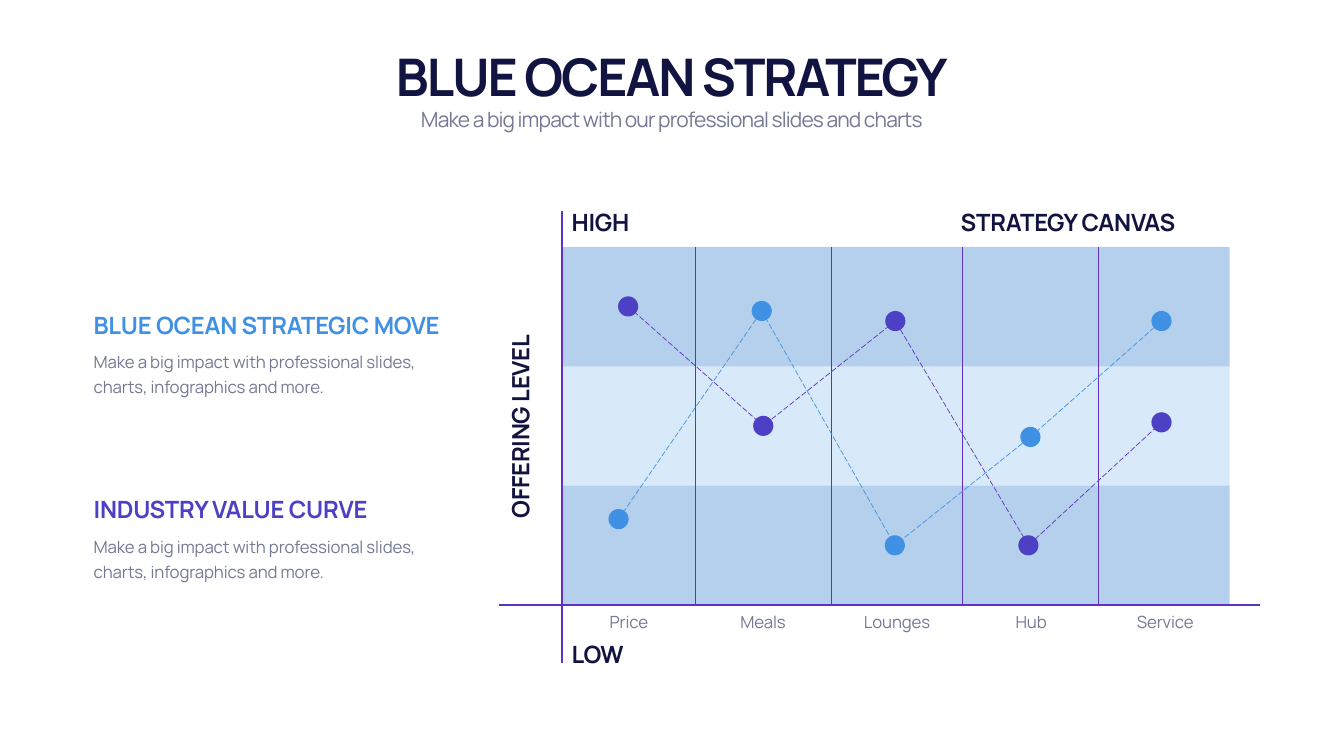
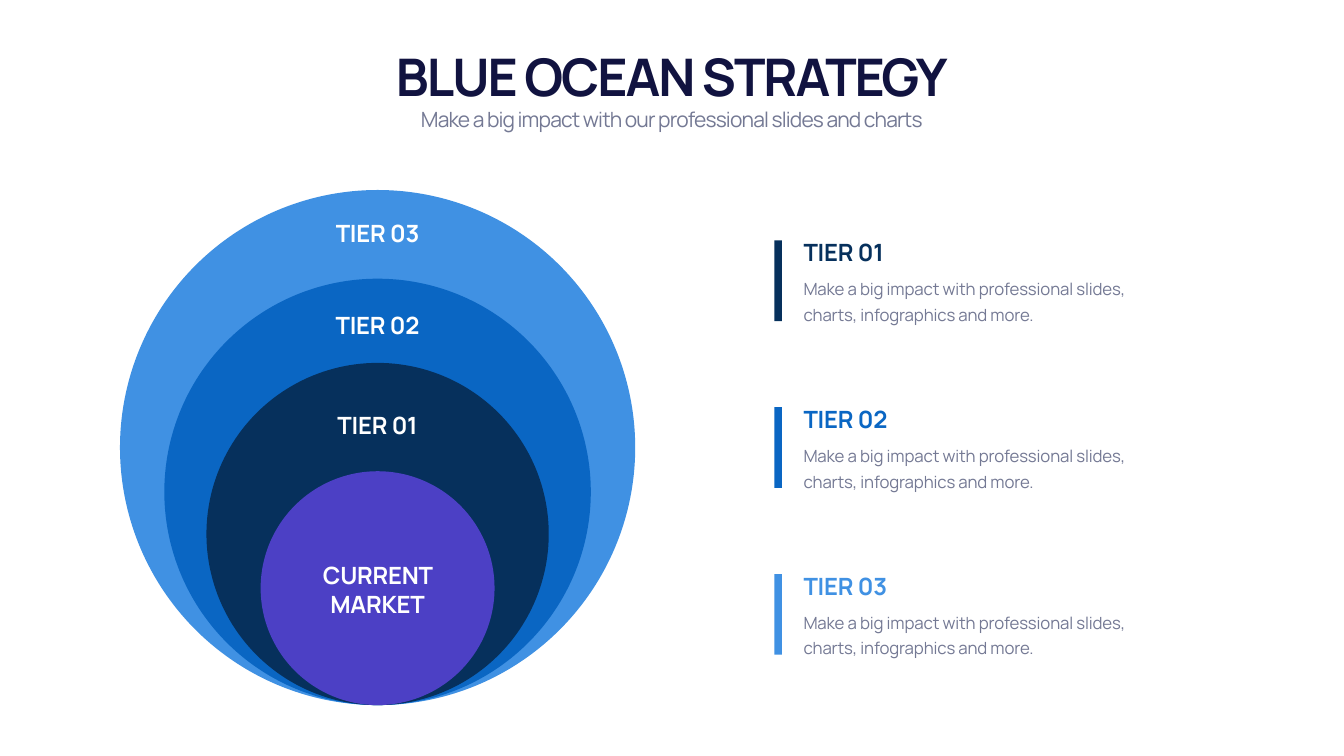
"""Builds two Blue Ocean Strategy slides: a strategy canvas and nested market tiers."""
from lxml import etree
from pptx import Presentation
from pptx.dml.color import RGBColor
from pptx.enum.dml import MSO_LINE
from pptx.enum.shapes import MSO_CONNECTOR, MSO_SHAPE
from pptx.enum.text import MSO_ANCHOR, MSO_AUTO_SIZE, PP_ALIGN
from pptx.oxml.ns import qn
from pptx.util import Inches, Pt

RECTANGLE, OVAL = MSO_SHAPE.RECTANGLE, MSO_SHAPE.OVAL
STRAIGHT, LONG_DASH = MSO_CONNECTOR.STRAIGHT, MSO_LINE.LONG_DASH
TOP, MIDDLE, BOTTOM = MSO_ANCHOR.TOP, MSO_ANCHOR.MIDDLE, MSO_ANCHOR.BOTTOM
LEFT, CENTER = PP_ALIGN.LEFT, PP_ALIGN.CENTER
GROW = MSO_AUTO_SIZE.SHAPE_TO_FIT_TEXT

NAVY = RGBColor(0x11, 0x13, 0x40)
GREY = RGBColor(0x74, 0x79, 0x94)
SKY = RGBColor(0x40, 0x91, 0xE3)
BLUE = RGBColor(0x0A, 0x66, 0xC3)
DEEP = RGBColor(0x06, 0x30, 0x5C)
INDIGO = RGBColor(0x4C, 0x40, 0xC5)
VIOLET = RGBColor(0x61, 0x30, 0xC5)
WHITE = RGBColor(0xFF, 0xFF, 0xFF)

FONT = "Manrope"
GRID = Inches(1)
COLUMNS, ROWS = 26.66, 15
TITLE_ONLY = 5
BLURB = "Make a big impact with professional slides, charts, infographics and more."

CANVAS_LEFT, CANVAS_TOP, CANVAS_WIDTH = 11.14, 4.9, 13.25
BAND_HEIGHT = 2.37
AXIS_Y = 12
DIVIDERS = (13.79, 16.5, 19.08, 21.79)
FACTORS = ("Price", "Meals", "Lounges", "Hub", "Service")
FACTOR_STEP = 2.66
DOT = 0.4
INDUSTRY = ((12.46, 6.08), (15.14, 8.45), (17.76, 6.37), (20.4, 10.82), (23.04, 8.38))
OCEAN = ((12.27, 10.3), (15.11, 6.17), (17.75, 10.82), (20.44, 8.67), (23.04, 6.37))

CIRCLE_CENTER, CIRCLE_BOTTOM = 7.49, 13.99
CIRCLES = (
    (10.22, SKY, "TIER 03", 4.29, 0.67),
    (8.46, BLUE, "TIER 02", 6.11, 0.67),
    (6.79, DEEP, "TIER 01", 8.1, 0.67),
    (4.64, INDIGO, "CURRENT MARKET", 11.07, 1.25),
)
CIRCLE_LABEL_WIDTH = 3.74
TIERS = (("TIER 01", DEEP), ("TIER 02", BLUE), ("TIER 03", SKY))
TIER_TOP, TIER_STEP = 4.67, 3.31


def cells(*counts):
    """Turn counts of grid cells into lengths."""
    return [round(count * GRID) for count in counts]


def write(box, text, size, color, bold=False, spacing=-0.3, align=LEFT, anchor=TOP, leading=None):
    """Fill a box with one formatted paragraph."""
    frame = box.text_frame
    frame.word_wrap = True
    frame.auto_size = GROW
    frame.vertical_anchor = anchor
    frame.margin_left = frame.margin_right = Inches(0.1)
    frame.margin_top = frame.margin_bottom = Inches(0.05)
    para = frame.paragraphs[0]
    para.alignment = align
    if leading:
        para.line_spacing = Pt(leading)
    span = para.add_run()
    span.text = text
    font = span.font
    font.name, font.size, font.bold = FONT, Pt(size), bold
    font.color.rgb = color
    span._r.get_or_add_rPr().set("spc", str(round(spacing * 100)))


def add_text(page, area, text, size, color, **style):
    """Add a text box over an area of the grid."""
    box = page.shapes.add_textbox(*cells(*area))
    write(box, text, size, color, **style)
    return box


def add_label(page, area, text, color=NAVY, align=CENTER, anchor=MIDDLE):
    """Add a bold label."""
    return add_text(page, area, text, 34, color, bold=True, align=align, anchor=anchor)


def add_body(page, area, text, align=LEFT):
    """Add small grey text."""
    add_text(page, area, text, 24, GREY, spacing=-0.2, align=align, leading=36)


def add_entry(page, left, top, width, heading, color):
    """Add a coloured heading above the blurb."""
    add_label(page, (left, top, width, 0.67), heading, color, LEFT, BOTTOM)
    add_body(page, (left, top + 0.72, width, 1.09), BLURB)


def add_block(page, kind, area, color, opacity=100):
    """Add a borderless filled shape."""
    shape = page.shapes.add_shape(kind, *cells(*area))
    shape.shadow.inherit = False
    shape.line.fill.background()
    shape.fill.solid()
    shape.fill.fore_color.rgb = color
    if opacity < 100:
        tint = shape.fill._xPr.find(".//" + qn("a:srgbClr"))
        etree.SubElement(tint, qn("a:alpha")).set("val", str(opacity * 1000))


def add_line(page, start, end, weight):
    """Add a straight violet line."""
    line = page.shapes.add_connector(STRAIGHT, *cells(*start, *end))
    line.line.color.rgb = VIOLET
    line.line.width = Pt(weight)
    etree.SubElement(line._element.spPr, qn("a:effectLst"))


def add_dots(page, points, color):
    """Mark each point with a dot."""
    for x, y in points:
        add_block(page, OVAL, (x - DOT / 2, y - DOT / 2, DOT, DOT), color)


def add_curve(page, points, color):
    """Join the points with a thin dashed line."""
    start, *others = [cells(*point) for point in points]
    builder = page.shapes.build_freeform(*start)
    builder.add_line_segments(others, close=False)
    curve = builder.convert_to_shape()
    curve.shadow.inherit = False
    curve.fill.background()
    curve.line.color.rgb = color
    curve.line.width = Pt(1)
    curve.line.dash_style = LONG_DASH


def add_page(deck):
    """Add a slide with the shared title and subtitle."""
    page = deck.slides.add_slide(deck.slide_layouts[TITLE_ONLY])
    title = page.shapes.title
    title.left, title.top, title.width, title.height = cells(1.66, 0.82, 23.33, 1.35)
    write(title, "BLUE OCEAN STRATEGY", 74, NAVY, bold=True, spacing=-2.9,
          align=CENTER, anchor=BOTTOM)
    add_text(page, (1.66, 2.07, 23.33, 0.61),
             "Make a big impact with our professional slides and charts",
             30, GREY, spacing=-1.2, align=CENTER)
    return page


def build_canvas(deck):
    """Build the strategy canvas slide."""
    page = add_page(deck)
    for row, (color, opacity) in enumerate(((BLUE, 30), (SKY, 20), (BLUE, 30))):
        top = CANVAS_TOP + row * BAND_HEIGHT
        add_block(page, RECTANGLE, (CANVAS_LEFT, top, CANVAS_WIDTH, BAND_HEIGHT), color, opacity)
    add_line(page, (CANVAS_LEFT, 4.18), (CANVAS_LEFT, 13.15), 3)
    add_line(page, (9.89, AXIS_Y), (25, AXIS_Y), 3)
    add_dots(page, INDUSTRY, INDIGO)
    add_dots(page, OCEAN, SKY)
    for x in DIVIDERS:
        add_line(page, (x, CANVAS_TOP), (x, AXIS_Y), 1)
    add_entry(page, 1.76, 6.11, 7.31, "BLUE OCEAN STRATEGIC MOVE", SKY)
    add_entry(page, 1.76, 9.77, 7.31, "INDUSTRY VALUE CURVE", INDIGO)
    add_label(page, (18.14, 4.07, 6.09, 0.67), "STRATEGY CANVAS")
    add_label(page, (7.26, 8.13, 6.1, 0.67), "OFFERING LEVEL").rotation = 270
    add_label(page, (11.24, 4.07, 1.9, 0.67), "HIGH", align=LEFT)
    add_label(page, (11.24, 12.65, 1.9, 0.67), "LOW", align=LEFT)
    for column, factor in enumerate(FACTORS):
        add_body(page, (11.26 + column * FACTOR_STEP, 11.99, 2.43, 0.58), factor, CENTER)
    add_curve(page, INDUSTRY, VIOLET)
    add_curve(page, OCEAN, SKY)


def build_tiers(deck):
    """Build the nested market tiers slide."""
    page = add_page(deck)
    for size, color, *_ in CIRCLES:
        add_block(page, OVAL, (CIRCLE_CENTER - size / 2, CIRCLE_BOTTOM - size, size, size), color)
    for row, (heading, color) in enumerate(TIERS):
        top = TIER_TOP + row * TIER_STEP
        add_block(page, RECTANGLE, (15.36, top + 0.1, 0.15, 1.6), color)
        add_entry(page, 15.84, top, 7.21, heading, color)
    label_left = CIRCLE_CENTER - CIRCLE_LABEL_WIDTH / 2
    for _, _, text, top, height in CIRCLES:
        add_label(page, (label_left, top, CIRCLE_LABEL_WIDTH, height), text, WHITE)


def main():
    """Build and save the deck."""
    deck = Presentation()
    deck.slide_width, deck.slide_height = cells(COLUMNS, ROWS)
    build_canvas(deck)
    build_tiers(deck)
    deck.save("out.pptx")


if __name__ == "__main__":
    main()
